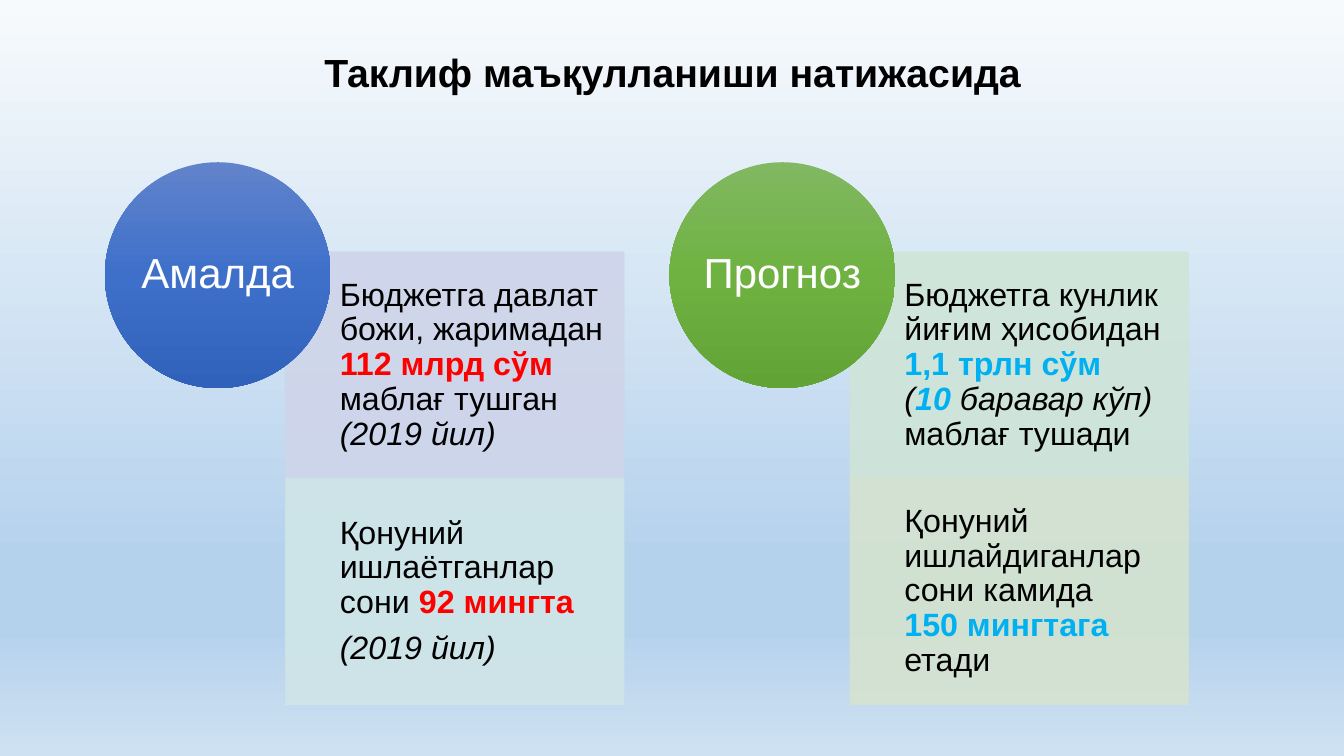
import copy
import pptx
import pptx.util
import pptx.dml.color
import pptx.enum.shapes
import pptx.enum.text
import pptx.oxml

Inches, Pt = pptx.util.Inches, pptx.util.Pt
RGB = pptx.dml.color.RGBColor.from_string
SHAPES = pptx.enum.shapes.MSO_SHAPE
MIDDLE = pptx.enum.text.MSO_ANCHOR.MIDDLE
ALIGN = pptx.enum.text.PP_ALIGN

THEME = {
    "font": "Arial", "title": 28, "badge": 30, "body": 23,
    "ink": "000000", "light": "FFFFFF", "actual": "FF0000", "forecast": "00B0F0",
    "background": [(0, "F7FAFD"), (74, "B5D2EC"), (83, "B5D2EC"), (100, "CEE1F2")],
}
STYLES = {
    "plain": {},
    "italic": {"italic": True},
    "actual": {"bold": True, "color": "actual"},
    "forecast": {"bold": True, "color": "forecast"},
    "ratio": {"bold": True, "italic": True, "color": "forecast"},
}

HEADING = "Таклиф маъқулланиши натижасида"
SCENARIOS = [
    {
        "badge": "Амалда",
        "gradient": [(0, "6183CB"), (50, "3E70CA"), (100, "3062BB")],
        "cards": [
            ("CFD5EA", [[("Бюджетга давлат божи, жаримадан ", "plain"),
                         ("112 млрд сўм ", "actual"),
                         ("маблағ тушган \n", "plain"),
                         ("(2019 йил)", "italic")]]),
            ("CFE5E8", [[("Қонуний ишлаётганлар сони ", "plain"),
                         ("92 мингта", "actual")],
                        [("(2019 йил)", "italic")]]),
        ],
    },
    {
        "badge": "Прогноз",
        "gradient": [(0, "81B861"), (50, "6FB242"), (100, "62A336")],
        "cards": [
            ("CFE5D8", [[("Бюджетга кунлик йиғим ҳисобидан ", "plain"),
                         ("1,1 трлн сўм \n", "forecast"),
                         ("(", "italic"),
                         ("10 ", "ratio"),
                         ("баравар кўп)", "italic"),
                         (" маблағ тушади", "plain")]]),
            ("D5E3CF", [[("Қонуний ишлайдиганлар сони камида \n", "plain"),
                         ("150 мингтага ", "forecast"),
                         ("етади", "plain")]]),
        ],
    },
]

LEFT, TOP, PITCH = 1.04, 1.61, 5.6
BADGE = 2.24
CARD_SHIFT, CARD_TOP, CARD_WIDTH, CARD_HEIGHT = 1.79, 2.5, 3.36, 2.245
CARD_INSETS = (0.54, 0.18, 0.18, 0.18)


def apply(target, formats):
    for name, value in formats.items():
        setattr(target, name, value)


def set_gradient(fill, owner, stops):
    fill.gradient()
    fill.gradient_angle = 270
    stop_list = owner.xpath(".//a:gsLst")[0]
    for _ in stops[2:]:
        stop_list.append(copy.deepcopy(stop_list[0]))
    for stop, (position, color) in zip(fill.gradient_stops, stops):
        stop.position = position / 100
        stop.color.rgb = RGB(color)


def write(frame, paragraphs, size, align, color="ink", bold=False, insets=(0,) * 4, after=0):
    left, top, right, bottom = map(Inches, insets)
    apply(frame, {"word_wrap": True, "vertical_anchor": MIDDLE, "margin_left": left,
                  "margin_top": top, "margin_right": right, "margin_bottom": bottom})
    for index, runs in enumerate(paragraphs):
        paragraph = frame.add_paragraph() if index else frame.paragraphs[0]
        apply(paragraph, {"alignment": align, "line_spacing": 0.9, "space_after": Pt(after)})
        for words, style in runs:
            run = paragraph.add_run()
            run.text = words.rstrip("\n")
            look = STYLES[style]
            apply(run.font, {"name": THEME["font"], "size": Pt(THEME[size]),
                             "bold": look.get("bold", bold), "italic": look.get("italic", False)})
            run.font.color.rgb = RGB(THEME[look.get("color", color)])
            if words.endswith("\n"):
                paragraph.add_line_break()


def add_card(slide, left, top, color, paragraphs):
    card = slide.shapes.add_shape(SHAPES.RECTANGLE, *map(Inches, (left, top, CARD_WIDTH, CARD_HEIGHT)))
    card.shadow.inherit = False
    card.fill.solid()
    card.fill.fore_color.rgb = RGB(color)
    card.line.color.rgb = RGB(color)
    card.line.width = Pt(0.5)
    for tint in card.element.xpath("./p:spPr//a:srgbClr"):
        alpha = pptx.oxml.parse_xml(
            '<a:alpha xmlns:a="http://schemas.openxmlformats.org/drawingml/2006/main" val="90000"/>')
        tint.append(alpha)
    write(card.text_frame, paragraphs, "body", ALIGN.LEFT, insets=CARD_INSETS, after=8)


def add_badge(slide, left, label, gradient):
    badge = slide.shapes.add_shape(SHAPES.OVAL, *map(Inches, (left, TOP, BADGE, BADGE)))
    badge.shadow.inherit = False
    set_gradient(badge.fill, badge.element, gradient)
    badge.line.fill.background()
    write(badge.text_frame, [[(label, "plain")]], "badge", ALIGN.CENTER, color="light")


deck = pptx.Presentation()
apply(deck, {"slide_width": Inches(13.33), "slide_height": Inches(7.5)})
slide = deck.slides.add_slide(deck.slide_layouts[5])
set_gradient(slide.background.fill, slide.element, THEME["background"])

heading = slide.shapes.title
apply(heading, {"left": Inches(0.92), "top": Inches(0.4),
                "width": Inches(11.5), "height": Inches(0.68)})
write(heading.text_frame, [[(HEADING, "plain")]], "title", ALIGN.CENTER, bold=True)

for column, scenario in enumerate(SCENARIOS):
    left = LEFT + column * PITCH
    for row, (color, paragraphs) in enumerate(scenario["cards"]):
        add_card(slide, left + CARD_SHIFT, CARD_TOP + row * CARD_HEIGHT, color, paragraphs)
    add_badge(slide, left, scenario["badge"], scenario["gradient"])

deck.save("out.pptx")
